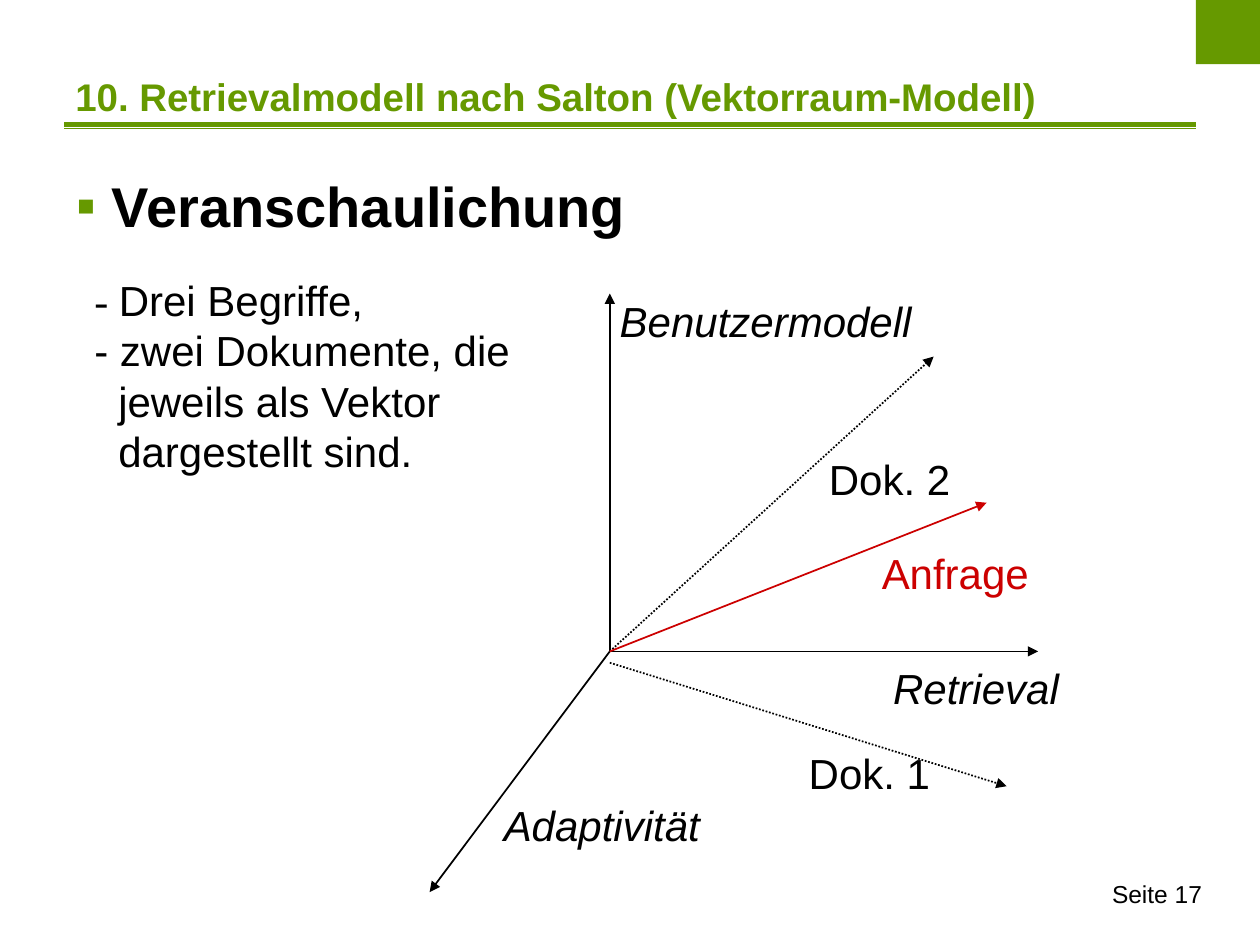
from lxml import etree
from pptx import Presentation
from pptx.dml.color import RGBColor
from pptx.enum.dml import MSO_LINE
from pptx.enum.shapes import MSO_CONNECTOR, MSO_SHAPE
from pptx.enum.text import MSO_ANCHOR, MSO_AUTO_SIZE, PP_ALIGN
from pptx.oxml.ns import qn
from pptx.util import Inches, Pt

STRAIGHT, RECT = MSO_CONNECTOR.STRAIGHT, MSO_SHAPE.RECTANGLE
DOTTED = MSO_LINE.ROUND_DOT
TOP, MIDDLE = MSO_ANCHOR.TOP, MSO_ANCHOR.MIDDLE
LEFT, RIGHT = PP_ALIGN.LEFT, PP_ALIGN.RIGHT
GROW, FIXED = MSO_AUTO_SIZE.SHAPE_TO_FIT_TEXT, MSO_AUTO_SIZE.NONE

COLORS = {"green": "669900", "black": "000000", "red": "CC0000"}


def rgb(name):
    return RGBColor.from_string(COLORS[name])


def add_text(p, text, size=24, color="black", bold=False, italic=False, font="Arial"):
    r = p.add_run()
    r.text = text
    r.font.name, r.font.size = font, Pt(size)
    r.font.bold, r.font.italic = bold, italic
    r.font.color.rgb = rgb(color)


def set_indent(p, left, first=0):
    pPr = p._p.get_or_add_pPr()
    pPr.set("marL", str(Inches(left)))
    pPr.set("indent", str(Inches(first)))
    return pPr


def set_bullet(p, char, color, indent):
    pPr = set_indent(p, indent, -indent)
    clr = etree.SubElement(pPr, qn("a:buClr"))
    etree.SubElement(clr, qn("a:srgbClr"), val=COLORS[color])
    etree.SubElement(pPr, qn("a:buFont"), typeface="Arial")
    etree.SubElement(pPr, qn("a:buChar"), char=char)


class SlideBuilder:
    """Draws styled elements on the current slide."""

    def __init__(self, slide):
        self.s = slide

    def box(self, x, y, w, h, wrap=False, anchor=TOP):
        tf = self.s.shapes.add_textbox(Inches(x), Inches(y), Inches(w), Inches(h)).text_frame
        tf.word_wrap, tf.vertical_anchor = wrap, anchor
        tf.auto_size = FIXED if wrap else GROW
        return tf

    def label(self, text, x, y, w, h=0.5, align=LEFT, wrap=False, anchor=TOP, **fmt):
        p = self.box(x, y, w, h, wrap, anchor).paragraphs[0]
        p.alignment = align
        add_text(p, text, **fmt)
        return p

    def rect(self, x, y, w, h, color):
        sp = self.s.shapes.add_shape(RECT, Inches(x), Inches(y), Inches(w), Inches(h))
        sp.shadow.inherit = False
        sp.fill.solid()
        sp.fill.fore_color.rgb = rgb(color)
        sp.line.fill.background()

    def line(self, start, end, color="black", width=1, dash=None, arrow=False):
        cx = self.s.shapes.add_connector(STRAIGHT, *map(Inches, start + end))
        cx.line.color.rgb, cx.line.width = rgb(color), Pt(width)
        if dash:
            cx.line.dash_style = dash
        if arrow:
            etree.SubElement(cx.line._get_or_add_ln(), qn("a:tailEnd"), type="triangle")
        etree.SubElement(cx._element.spPr, qn("a:effectLst"))


def main():
    prs = Presentation()
    prs.slide_width, prs.slide_height = Inches(10), Inches(7.5)
    b = SlideBuilder(prs.slides.add_slide(prs.slide_layouts[6]))

    for y, width in ((0.99, 2.75), (1.02, 0.75)):
        b.line((0.51, y), (9.49, y), "green", width)
    b.rect(9.49, 0, 0.51, 0.51, "green")
    b.label("10. Retrievalmodell nach Salton (Vektorraum-Modell)", 0.5, 0.14, 9, 1.25,
            wrap=True, anchor=MIDDLE, size=22, color="green", bold=True)
    p = b.label("Veranschaulichung", 0.51, 1.31, 9, 5.51, wrap=True, size=32, bold=True)
    set_bullet(p, "▪", "green", 0.28)
    b.label("Seite 17", 7.31, 6.93, 2.33, 0.52, align=RIGHT, wrap=True, size=14)

    tf = b.box(0.65, 2.13, 3.59, 1.7)
    p = tf.paragraphs[0]
    add_text(p, "- ", font="Times New Roman")
    add_text(p, "Drei Begriffe,")
    for text, left in (("- zwei Dokumente, die", 0), ("jeweils als Vektor", 0.19),
                       ("dargestellt sind.", 0.19)):
        p = tf.add_paragraph()
        set_indent(p, left)
        add_text(p, text)

    origin = (4.84, 5.17)
    for axis_end in ((4.84, 2.33), (8.24, 5.17), (3.41, 7.08)):
        b.line(origin, axis_end, arrow=True)
    b.line(origin, (7.41, 2.83), dash=DOTTED, arrow=True)
    b.line((4.84, 5.26), (7.99, 6.24), dash=DOTTED, arrow=True)
    b.line(origin, (7.83, 3.99), "red", arrow=True)

    for text, x, y, w in (("Retrieval", 6.99, 5.21, 1.55), ("Adaptivität", 3.9, 6.3, 1.8),
                          ("Benutzermodell", 4.82, 2.3, 2.55)):
        b.label(text, x, y, w, italic=True)
    for text, x, y, w, color in (("Anfrage", 6.9, 4.3, 1.37, "red"),
                                 ("Dok. 1", 6.32, 5.88, 1.16, "black"),
                                 ("Dok. 2", 6.48, 3.55, 1.16, "black")):
        b.label(text, x, y, w, color=color)

    prs.save("out.pptx")


if __name__ == "__main__":
    main()
